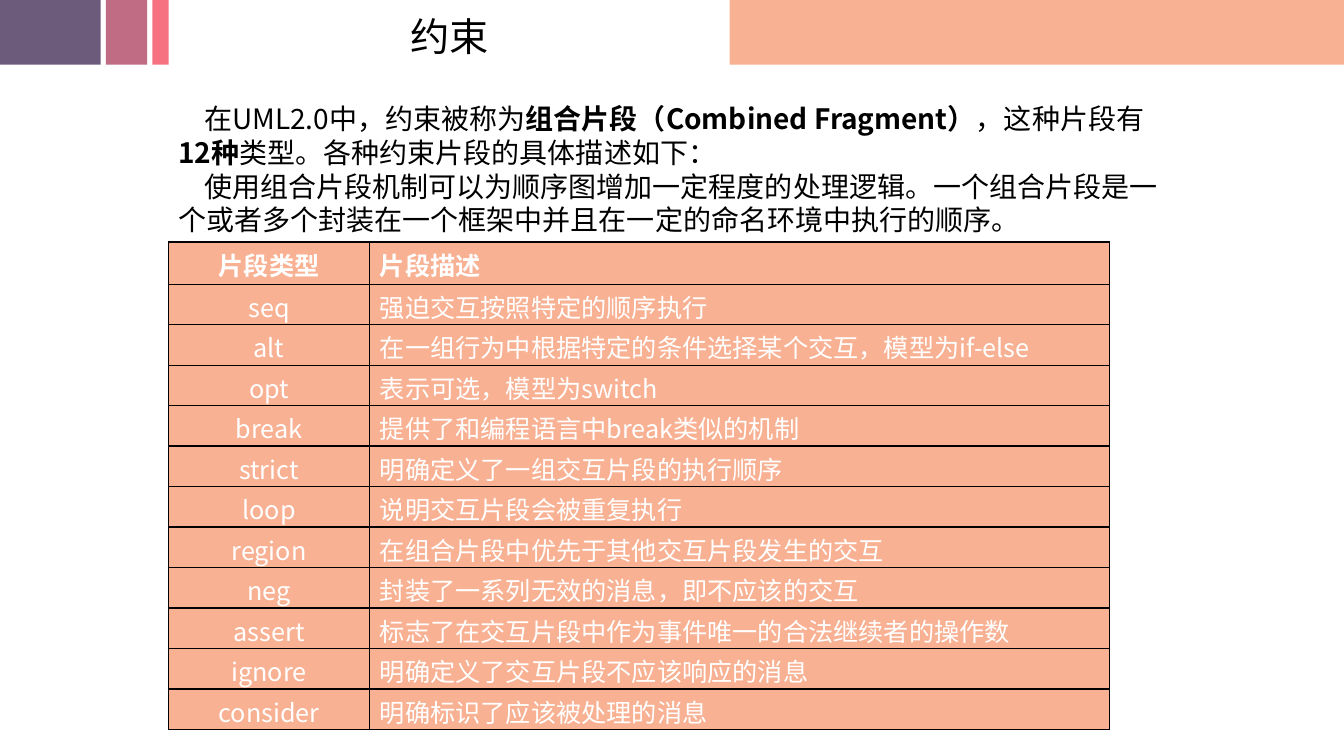
from lxml.etree import SubElement
from pptx import Presentation
from pptx.dml.color import RGBColor
from pptx.enum.shapes import MSO_SHAPE as SHAPE
from pptx.enum.text import MSO_ANCHOR as ANCHOR, MSO_AUTO_SIZE as AUTOSIZE, PP_ALIGN as ALIGN
from pptx.oxml.ns import qn
from pptx.util import Cm, Pt

PEACH = RGBColor(0xF8, 0xB1, 0x93)
PURPLE = RGBColor(0x6C, 0x5B, 0x7B)
MAUVE = RGBColor(0xC0, 0x6C, 0x84)
CORAL = RGBColor(0xF6, 0x72, 0x80)
BLACK = RGBColor(0, 0, 0)
WHITE = RGBColor(0xFF, 0xFF, 0xFF)

BANDS = [
    (18.39, 15.48, PEACH),
    (0, 2.54, PURPLE),
    (2.67, 1.04, MAUVE),
    (3.84, 0.41, CORAL),
]

INTRO = [
    [("在UML2.0中，约束被称为", False), ("组合片段（Combined Fragment）", True),
     ("，这种片段有", False), ("12种", True),
     ("类型。各种约束片段的具体描述如下：", False)],
    [("使用组合片段机制可以为顺序图增加一定程度的处理逻辑。一个组合片段是一个或者多个"
      "封装在一个框架中并且在一定的命名环境中执行的顺序。", False)],
]

FRAGMENTS = [
    ("片段类型", "片段描述"),
    ("seq", "强迫交互按照特定的顺序执行"),
    ("alt", "在一组行为中根据特定的条件选择某个交互，模型为if-else"),
    ("opt", "表示可选，模型为switch"),
    ("break", "提供了和编程语言中break类似的机制"),
    ("strict", "明确定义了一组交互片段的执行顺序"),
    ("loop", "说明交互片段会被重复执行"),
    ("region", "在组合片段中优先于其他交互片段发生的交互"),
    ("neg", "封装了一系列无效的消息，即不应该的交互"),
    ("assert", "标志了在交互片段中作为事件唯一的合法继续者的操作数"),
    ("ignore", "明确定义了交互片段不应该响应的消息"),
    ("consider", "明确标识了应该被处理的消息"),
]


def set_all(obj, formats):
    for name, value in formats.items():
        setattr(obj, name, value)


class SlideBuilder:
    font_name = "Noto Sans CJK SC"

    def __init__(self, prs):
        self.s = prs.slides.add_slide(prs.slide_layouts[1])

    def band(self, left, width, color):
        sp = self.s.shapes.add_shape(SHAPE.RECTANGLE, Cm(left), 0, Cm(width), Cm(1.63))
        sp.shadow.inherit = False
        sp.fill.solid()
        sp.fill.fore_color.rgb = color
        sp.line.fill.background()

    def run(self, p, text, size, color, bold=False):
        r = p.add_run()
        r.text = text
        set_all(r.font, {"name": self.font_name, "size": Pt(size), "bold": bold})
        r.font.color.rgb = color
        SubElement(r.font._element, qn("a:ea"), typeface=self.font_name)

    def placeholder(self, sp, box, paragraphs, size, wrap=True, indent=0):
        set_all(sp, dict(zip(("left", "top", "width", "height"), map(Cm, box))))
        tf = sp.text_frame
        set_all(tf, {"word_wrap": wrap, "auto_size": AUTOSIZE.NONE,
                     "vertical_anchor": ANCHOR.TOP})
        for i, runs in enumerate(paragraphs):
            p = tf.add_paragraph() if i else tf.paragraphs[0]
            set_all(p, {"alignment": ALIGN.LEFT, "space_before": Pt(0),
                        "line_spacing": Pt(size * 1.2)})
            pPr = p._p.get_or_add_pPr()
            pPr.set("marL", "0")
            pPr.set("indent", str(Cm(indent)))
            SubElement(pPr, qn("a:buNone"))
            for text, bold in runs:
                self.run(p, text, size, BLACK, bold)

    def borders(self, cell):
        tcPr = cell._tc.get_or_add_tcPr()
        for side in ("lnL", "lnR", "lnT", "lnB"):
            ln = SubElement(tcPr, qn(f"a:{side}"), w=str(Pt(1)))
            fill = SubElement(ln, qn("a:solidFill"))
            SubElement(fill, qn("a:srgbClr"), val=str(BLACK))

    def table(self, left, top, widths, head_height, row_height, rows):
        heights = [head_height] + [row_height] * (len(rows) - 1)
        table = self.s.shapes.add_table(len(rows), len(widths), Cm(left), Cm(top),
                                        Cm(sum(widths)), Cm(sum(heights))).table
        for column, width in zip(table.columns, widths):
            column.width = Cm(width)
        for i, (height, texts) in enumerate(zip(heights, rows)):
            table.rows[i].height = Cm(height)
            for j, text in enumerate(texts):
                cell = table.cell(i, j)
                set_all(cell, {"margin_top": Cm(0.1), "margin_bottom": 0})
                self.borders(cell)
                cell.fill.solid()
                cell.fill.fore_color.rgb = PEACH
                p = cell.text_frame.paragraphs[0]
                p.alignment = ALIGN.LEFT if j else ALIGN.CENTER
                self.run(p, text, 18, WHITE, i == 0)


def main():
    prs = Presentation()
    set_all(prs, {"slide_width": Cm(33.87), "slide_height": Cm(19.05)})
    slide = SlideBuilder(prs)
    title, body = slide.s.placeholders
    for band in BANDS:
        slide.band(*band)
    slide.placeholder(title, (10.08, 0.18, 2.49, 1.45), [[("约束", False)]], 28, wrap=False)
    slide.placeholder(body, (4.24, 2.44, 25.65, 3.68), INTRO, 20, indent=0.65)
    slide.table(4.24, 6.1, (5.08, 18.64), 1.06, 1.02, FRAGMENTS)
    prs.save("out.pptx")


if __name__ == "__main__":
    main()
